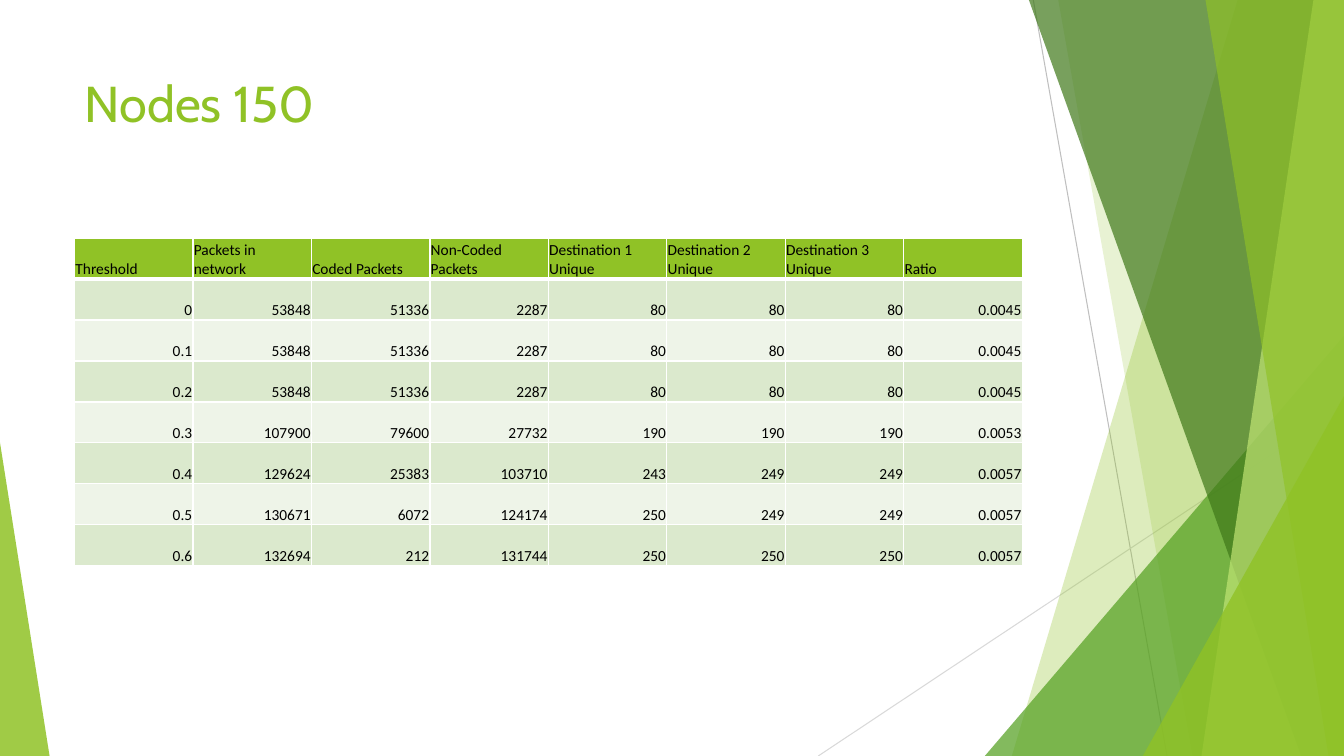
from lxml import etree
from pptx import Presentation
from pptx import util as u
from pptx.dml.color import RGBColor
from pptx.enum import shapes, text
from pptx.oxml import ns

RESULTS = [
    ["Threshold", "Packets in network", "Coded Packets", "Non-Coded Packets",
     "Destination 1 Unique", "Destination 2 Unique", "Destination 3 Unique", "Ratio"],
    ["0", "53848", "51336", "2287", "80", "80", "80", "0.0045"],
    ["0.1", "53848", "51336", "2287", "80", "80", "80", "0.0045"],
    ["0.2", "53848", "51336", "2287", "80", "80", "80", "0.0045"],
    ["0.3", "107900", "79600", "27732", "190", "190", "190", "0.0053"],
    ["0.4", "129624", "25383", "103710", "243", "249", "249", "0.0057"],
    ["0.5", "130671", "6072", "124174", "250", "249", "249", "0.0057"],
    ["0.6", "132694", "212", "131744", "250", "250", "250", "0.0057"],
]


def paint(target, hex_color, opacity=100):
    """Give a fill or line format a solid colour, with opacity in percent."""
    fill = getattr(target, "fill", target)
    fill.solid()
    fill.fore_color.rgb = RGBColor.from_string(hex_color)
    if opacity < 100:
        solid = target._xPr.find(ns.qn("a:solidFill"))
        etree.SubElement(solid[0], ns.qn("a:alpha"), val=str(opacity * 1000))


def finish(shape, hex_color, opacity):
    """Fill a decorative shape without outline or shadow."""
    paint(shape.fill, hex_color, opacity)
    shape.line.fill.background()
    shape.shadow.inherit = False


def add_ray(slide, start, end, hex_color):
    """Draw a thin straight line between two points in centimetres."""
    ray = slide.shapes.add_connector(
        shapes.MSO_CONNECTOR.STRAIGHT, *(u.Cm(value) for value in (*start, *end)))
    paint(ray.line, hex_color)
    ray.line.width = u.Pt(0.75)
    etree.SubElement(ray._element.spPr, ns.qn("a:effectLst"))


def add_facet(slide, box, top_x, bottom_x, hex_color, opacity):
    """Draw a full-height facet that reaches the right edge of the box."""
    left, top, width, height = box
    right, bottom = left + width, top + height
    corners = [(left + top_x, top), (right, top), (right, bottom), (left + bottom_x, bottom)]
    points = [(u.Cm(x), u.Cm(y)) for x, y in corners]
    builder = slide.shapes.build_freeform(*points[0])
    builder.add_line_segments(points[1:], close=True)
    finish(builder.convert_to_shape(), hex_color, opacity)


def add_wedge(slide, box, apex, hex_color, opacity):
    """Draw a triangle filling the box, its apex at a fraction of the width."""
    wedge = slide.shapes.add_shape(
        shapes.MSO_SHAPE.ISOSCELES_TRIANGLE, *(u.Cm(value) for value in box))
    wedge.adjustments[0] = apex
    finish(wedge, hex_color, opacity)


def add_right_decoration(slide, box):
    """Layer the rays, facets and wedges at the right of the slide."""
    left, top, width, height = box
    right, bottom = left + width, top + height

    def corner_wedge(x, y, hex_color, opacity):
        """Draw a wedge from an offset to the lower right corner."""
        add_wedge(slide, (left + x, top + y, width - x, height - y), 1, hex_color, opacity)

    add_ray(slide, (left + 5.42, top), (left + 8.79, bottom), "BFBFBF")
    add_ray(slide, (right, top + 10.24), (left, bottom), "D9D9D9")
    add_facet(slide, box, 10.57, 4.88, "90C226", 30)
    add_facet(slide, box, 6.05, 9.43, "90C226", 20)
    corner_wedge(4.2, 8.46, "54A021", 72)
    add_facet(slide, box, 5.31, 12.17, "3F7819", 70)
    add_facet(slide, box, 12.48, 9.66, "C0E474", 70)
    add_facet(slide, box, 9.76, 12.86, "90C226", 65)
    corner_wedge(8.18, 9.98, "90C226", 80)


def add_heading(slide, box, wording):
    """Place and format the slide title."""
    heading = slide.shapes.title
    heading.left, heading.top, heading.width, heading.height = (u.Cm(value) for value in box)
    frame = heading.text_frame
    frame.text = wording
    frame.vertical_anchor = text.MSO_ANCHOR.TOP
    paragraph = frame.paragraphs[0]
    paragraph.alignment = text.PP_ALIGN.LEFT
    paragraph.font.name = "Cabin"
    paragraph.font.size = u.Pt(36)
    paragraph.font.color.rgb = RGBColor.from_string("90C226")


def add_borders(cell, top_points, bottom_points):
    """Put white borders around a table cell."""
    properties = cell._tc.get_or_add_tcPr()
    for side, points in (("L", 1), ("R", 1), ("T", top_points), ("B", bottom_points)):
        border = etree.SubElement(properties, ns.qn(f"a:ln{side}"), w=str(u.Pt(points)))
        solid = etree.SubElement(border, ns.qn("a:solidFill"))
        etree.SubElement(solid, ns.qn("a:srgbClr"), val="FFFFFF")


def format_cell(cell, row, wording):
    """Write one table cell and style it by its row."""
    add_borders(cell, 3 if row == 1 else 1, 3 if row == 0 else 1)
    paint(cell.fill, "90C226" if row == 0 else ("EEF4E8", "DBE9CD")[row % 2])
    cell.text = wording
    cell.vertical_anchor = text.MSO_ANCHOR.BOTTOM
    cell.margin_left = cell.margin_right = cell.margin_top = u.Cm(0.02)
    cell.margin_bottom = 0
    paragraph = cell.text_frame.paragraphs[0]
    paragraph.alignment = text.PP_ALIGN.LEFT if row == 0 else text.PP_ALIGN.RIGHT
    paragraph.font.name = "Calibri"
    paragraph.font.size = u.Pt(11)
    paragraph.font.bold = False
    paragraph.font.color.rgb = RGBColor.from_string("000000")


def add_results(slide, box):
    """Fill the box with the table of results in equal rows and columns."""
    results = slide.shapes.add_table(
        len(RESULTS), len(RESULTS[0]), *(u.Cm(value) for value in box)).table
    for row, wordings in enumerate(RESULTS):
        for column, wording in enumerate(wordings):
            format_cell(results.cell(row, column), row, wording)


def main():
    """Build and save the slide."""
    deck = Presentation()
    deck.slide_width, deck.slide_height = u.Cm(33.87), u.Cm(19.05)
    slide = deck.slides.add_slide(deck.slide_layouts[5])
    add_right_decoration(slide, (20.62, 0, 13.25, 19.05))
    add_wedge(slide, (0, 11.15, 1.25, 7.9), 0, "90C226", 85)
    add_heading(slide, (1.88, 1.7, 23.88, 3.66), "Nodes 150")
    add_results(slide, (1.88, 6, 23.88, 8.26))
    deck.save("out.pptx")


if __name__ == "__main__":
    main()
